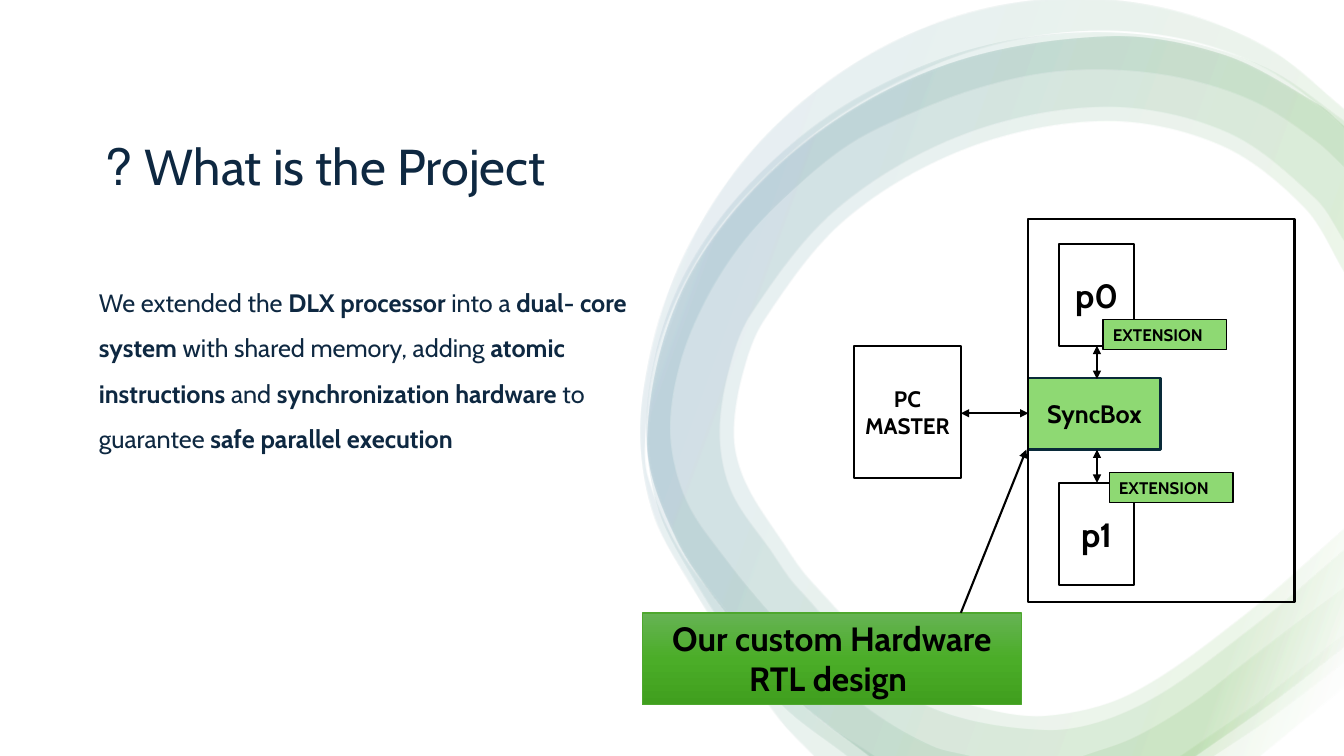
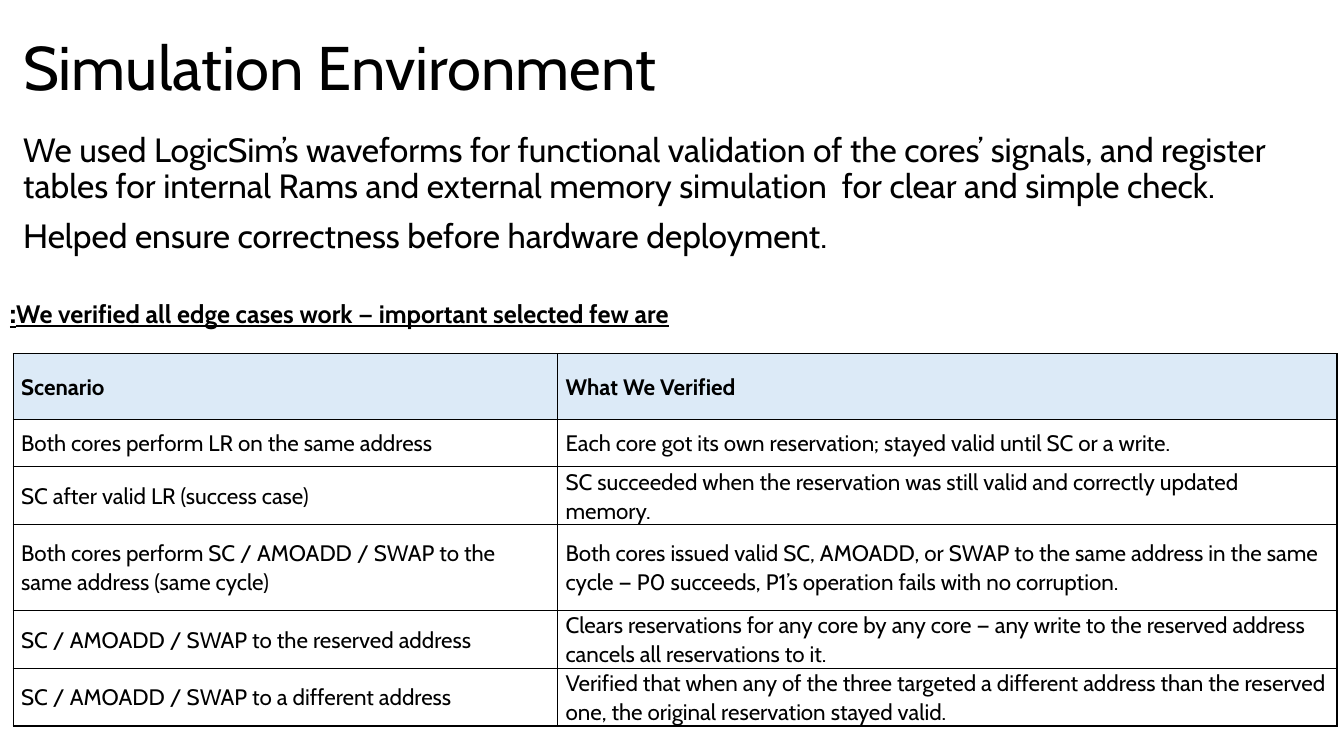
from math import dist

from lxml import etree
from pptx import Presentation
from pptx import util as u
from pptx.dml.color import RGBColor
from pptx.enum import shapes, text
from pptx.oxml.ns import qn

NAVY = RGBColor(0x0E, 0x28, 0x41)
BLACK = RGBColor(0, 0, 0)
WHITE = RGBColor(0xFF, 0xFF, 0xFF)
LIME = RGBColor(0x8E, 0xD9, 0x73)
PINE = RGBColor(0x09, 0x2A, 0x39)
LEAF = RGBColor(0x4E, 0xA7, 0x2E)
TEAL = RGBColor(0x15, 0x60, 0x82)
LEAF_TOP = RGBColor(0x66, 0xB3, 0x54)
LEAF_MIDDLE = RGBColor(0x4B, 0xAD, 0x28)
LEAF_BOTTOM = RGBColor(0x40, 0x9F, 0x1E)
HEADER_BLUE = RGBColor(0xDC, 0xEA, 0xF7)

FONT = "Cabin"
LEFT = text.PP_ALIGN.LEFT
CENTER = text.PP_ALIGN.CENTER
RIGHT = text.PP_ALIGN.RIGHT
TOP = text.MSO_ANCHOR.TOP
MIDDLE = text.MSO_ANCHOR.MIDDLE
RIBBON_STOPS = [(2, WHITE), (16, LEAF), (85, TEAL), (100, WHITE)]
BUTTON_STOPS = [(0, LEAF_TOP), (50, LEAF_MIDDLE), (100, LEAF_BOTTOM)]

HALO_STRIP = [[(13.33, 6.29)], [(13.33, 6.81)], [(12.49, 7.5)], [(11.7, 7.5)], [(12.46, 6.98)]]
HALO_RING = [
    [(13.33, 1.09), (12.65, 0.53), (11.92, 0.19), (11.12, 0.01), (10.3, 0), (9.5, 0.16),
     (8.74, 0.48), (8.06, 0.93), (7.48, 1.48), (7.01, 2.13), (6.66, 2.84), (6.44, 3.6),
     (6.36, 4.36), (6.5, 5.13), (6.87, 5.82), (7.29, 6.48), (7.74, 7.14), (8.08, 7.5)],
    [(8.68, 7.5), (8.13, 7.13), (7.69, 6.68), (7.21, 6.07), (6.74, 5.44), (6.44, 4.74),
     (6.41, 4.36), (6.5, 3.6), (6.76, 2.88), (7.16, 2.23), (7.68, 1.67), (8.27, 1.19),
     (8.92, 0.81), (9.61, 0.52), (10.34, 0.35), (11.1, 0.31), (11.85, 0.42), (12.56, 0.69),
     (13.18, 1.13), (13.33, 1.28)],
]
BAND_STRIP = [
    [(13.33, 5.82)],
    [(13.33, 6.56), (12.61, 7.11), (12.03, 7.5)],
    [(10.73, 7.5), (11.23, 7.32), (11.82, 6.97), (12.39, 6.53), (12.97, 6.09)],
]
BAND_RING = [
    [(13.33, 1.21), (12.63, 0.72), (11.9, 0.45), (11.13, 0.33), (10.36, 0.35), (9.6, 0.5),
     (8.89, 0.77), (8.22, 1.15), (7.63, 1.63), (7.12, 2.2), (6.73, 2.85), (6.49, 3.57),
     (6.41, 4.32), (6.54, 5.08), (6.89, 5.76), (7.29, 6.38), (7.75, 6.99), (8.4, 7.5)],
    [(9.62, 7.5), (9.24, 7.4), (8.65, 7.06), (8.14, 6.62), (7.66, 6.11), (7.2, 5.55),
     (6.81, 4.97), (6.65, 4.32), (6.74, 3.63), (7, 2.98), (7.38, 2.39), (7.87, 1.88),
     (8.43, 1.43), (9.05, 1.12), (9.72, 0.87), (10.41, 0.72), (11.11, 0.7), (11.81, 0.8),
     (12.47, 1.03), (13.05, 1.41), (13.33, 1.67)],
]
CORE_OUTER = [(13.33, 1.27), (13.07, 1.05), (12.12, 0.55), (10.96, 0.37), (9.3, 0.68),
              (7.85, 1.53), (6.81, 2.8), (6.42, 4.34), (6.71, 5.35), (7.32, 6.23),
              (7.91, 6.94), (8.62, 7.5)]
CORE_CORNER = [(11.85, 7.5), (12.66, 6.93), (13.33, 6.41)]
WIDE_INNER = [(13.33, 5.45), (12.44, 6.2), (11.29, 7), (10.36, 7.24), (9.01, 6.91),
              (7.91, 5.83), (7.65, 5.47), (7.26, 4.89), (7.14, 4.34), (7.22, 3.72),
              (7.45, 3.12), (8.31, 2.07), (9.56, 1.34), (10.96, 1.07), (12.16, 1.32),
              (13.04, 1.98), (13.33, 2.41)]
WIDER_INNER = [(13.33, 5.24), (12.35, 6.09), (11.21, 6.88), (10.36, 7.1), (9.65, 7),
               (9.04, 6.76), (8.03, 5.75), (7.77, 5.39), (7.4, 4.8), (7.28, 4.34),
               (7.36, 3.74), (7.58, 3.18), (8.4, 2.17), (9.61, 1.47), (10.96, 1.21),
               (12.1, 1.45), (12.93, 2.07), (13.33, 2.72)]
RIBBONS = [
    [HALO_STRIP, HALO_RING],
    [BAND_STRIP, BAND_RING],
    [[CORE_OUTER, CORE_CORNER, WIDE_INNER]],
    [[CORE_OUTER, CORE_CORNER, WIDER_INNER]],
]

SCENARIOS = [
    ("Scenario", "What We Verified"),
    ("Both cores perform LR on the same address",
     "Each core got its own reservation; stayed valid until SC or a write."),
    ("SC after valid LR (success case)",
     "SC succeeded when the reservation was still valid and correctly updated memory."),
    ("Both cores perform SC / AMOADD / SWAP to the same address (same cycle)",
     "Both cores issued valid SC, AMOADD, or SWAP to the same address in the same cycle — "
     "P0 succeeds, P1’s operation fails with no corruption."),
    ("SC / AMOADD / SWAP to the reserved address",
     "Clears reservations for any core by any core — any write to the reserved address "
     "cancels all reservations to it."),
    ("SC / AMOADD / SWAP to a different address",
     "Verified that when any of the three targeted a different address than the reserved one, "
     "the original reservation stayed valid."),
]


def handles(points):
    padded = [points[0], *points, points[-1]]
    slopes = [[(c[i] - a[i]) / (dist(a, b) + dist(b, c)) for i in (0, 1)]
              for a, b, c in zip(padded, padded[1:], padded[2:]) if a != c]
    pairs = []
    for number, (start, end) in enumerate(zip(points, points[1:])):
        reach = dist(start, end) / 3
        pairs.append([[start[i] + reach * slopes[number][i] for i in (0, 1)],
                      [end[i] - reach * slopes[number + 1][i] for i in (0, 1)]])
    return pairs


def inches(*values):
    return [u.Inches(value) for value in values]


class Deck:
    def __init__(self):
        self.deck = Presentation()
        self.deck.slide_width, self.deck.slide_height = inches(13.33, 7.5)
        self.page = None

    def add_page(self):
        self.page = self.deck.slides.add_slide(self.deck.slide_layouts[1])

    def style(self, para, size, color=BLACK, bold=False, align=LEFT, rtl=False, spacing=None,
              before=0, after=0):
        para.alignment = align
        para.space_before, para.space_after = u.Pt(before), u.Pt(after)
        if spacing:
            para.line_spacing = spacing
        if rtl:
            para._p.get_or_add_pPr().set("rtl", "1")
        for span in para.runs:
            span.font.name, span.font.size = FONT, u.Pt(size)
            span.font.color.rgb, span.font.bold = color, bold

    def place(self, box, at, anchor):
        box.left, box.top, box.width, box.height = inches(*at)
        frame = box.text_frame
        frame.word_wrap = True
        frame.auto_size = text.MSO_AUTO_SIZE.NONE
        frame.vertical_anchor = anchor
        return frame

    def title(self, words, at, size, **look):
        frame = self.place(self.page.shapes.title, at, MIDDLE)
        frame.margin_bottom = u.Inches(0.03 + size * 0.017)
        frame.text = words
        self.style(frame.paragraphs[0], size, spacing=0.9, **look)

    def body(self, paragraphs, at, size, color, spacing):
        frame = self.place(self.page.placeholders[1], at, TOP)
        frame.text = "\n".join("".join(parts) for parts in paragraphs)
        for para, parts in zip(frame.paragraphs, paragraphs):
            para.text = parts[0]
            for part in parts[1:]:
                para.add_run().text = part
            self.style(para, size, color, spacing=spacing, before=10)
            for span in para.runs[1::2]:
                span.font.bold = True
            props = para._p.get_or_add_pPr()
            props.set("marL", "0")
            props.set("indent", "0")
            etree.SubElement(props, qn("a:buNone"))

    def label(self, words, at, size):
        box = self.page.shapes.add_textbox(*inches(*at))
        frame = self.place(box, at, TOP)
        frame.text = words
        para = frame.paragraphs[0]
        self.style(para, size, bold=True, rtl=True)
        para.runs[0].font.underline = True

    def gradient(self, shape, stops, angle, opacity=100):
        shape.fill.gradient()
        shape.fill.gradient_angle = 360 - angle
        stop_list = shape._element.spPr.find(qn("a:gradFill")).find(qn("a:gsLst"))
        for old in list(stop_list):
            stop_list.remove(old)
        for position, color in stops:
            stop = etree.SubElement(stop_list, qn("a:gs"), pos=str(position * 1000))
            tone = etree.SubElement(stop, qn("a:srgbClr"), val=str(color))
            if opacity < 100:
                etree.SubElement(tone, qn("a:alpha"), val=str(opacity * 1000))

    def ribbon(self, contours):
        builder = None
        bends = []
        for edges in contours:
            points = [inches(*point) for edge in edges for point in edge]
            if builder is None:
                builder = self.page.shapes.build_freeform(*points[0], scale=1.0)
            else:
                builder.move_to(*points[0])
            builder.add_line_segments(points[1:], close=True)
            for number, edge in enumerate(edges):
                if number:
                    bends.append(None)
                if len(edge) > 1:
                    bends.extend(handles(edge))
        shape = builder.convert_to_shape()
        shape.shadow.inherit = False
        shape.line.fill.background()
        self.bend(shape, bends)
        self.gradient(shape, RIBBON_STOPS, 200, opacity=10)

    def bend(self, shape, bends):
        for segment, pair in zip(list(shape._element.iter(qn("a:lnTo"))), bends):
            if pair is None:
                continue
            curve = etree.Element(qn("a:cubicBezTo"))
            for x, y in pair:
                etree.SubElement(curve, qn("a:pt"), x=str(u.Inches(x) - shape.left),
                                 y=str(u.Inches(y) - shape.top))
            curve.append(segment[0])
            segment.getparent().replace(segment, curve)

    def block(self, at, words="", size=18, fill=None, line=BLACK, weight=1.5, align=CENTER,
              anchor=MIDDLE, rtl=True):
        shape = self.page.shapes.add_shape(shapes.MSO_SHAPE.RECTANGLE, *inches(*at))
        shape.shadow.inherit = False
        if line is None:
            shape.line.fill.background()
        else:
            shape.line.color.rgb, shape.line.width = line, u.Pt(weight)
        if fill is None:
            shape.fill.background()
        else:
            shape.fill.solid()
            shape.fill.fore_color.rgb = fill
        if words:
            frame = self.place(shape, at, anchor)
            frame.text = words
            self.style(frame.paragraphs[0], size, bold=True, align=align, rtl=rtl)
        return shape

    def arrow(self, start, end, ends=("headEnd", "tailEnd")):
        line = self.page.shapes.add_connector(
            shapes.MSO_CONNECTOR.STRAIGHT, *inches(*start, *end))
        line.line.color.rgb, line.line.width = BLACK, u.Pt(1.5)
        props = line._element.spPr
        for end_name in ends:
            etree.SubElement(props.find(qn("a:ln")), qn("a:" + end_name), type="triangle")
        etree.SubElement(props, qn("a:effectLst"))

    def table(self, rows, at, widths, heights, size):
        grid = self.page.shapes.add_table(len(rows), len(widths), *inches(*at)).table
        grid.first_row = grid.horz_banding = False
        for column, width in zip(grid.columns, widths):
            column.width = u.Inches(width)
        for number, (row, height, words) in enumerate(zip(grid.rows, heights, rows)):
            row.height = u.Inches(height)
            for cell, phrase in zip(row.cells, words):
                self.cell(cell, phrase, size, header=number == 0)

    def cell(self, cell, phrase, size, header):
        cell.text = phrase
        self.style(cell.text_frame.paragraphs[0], size, bold=header, spacing=1.07, after=8)
        cell.vertical_anchor = MIDDLE
        cell.margin_left = cell.margin_right = u.Inches(0.08)
        cell.margin_top = cell.margin_bottom = 0
        props = cell._tc.get_or_add_tcPr()
        for side in ("lnL", "lnR", "lnT", "lnB"):
            border = etree.SubElement(props, qn("a:" + side), w=str(u.Pt(1)))
            paint = etree.SubElement(border, qn("a:solidFill"))
            etree.SubElement(paint, qn("a:srgbClr"), val=str(BLACK))
        if header:
            cell.fill.solid()
            cell.fill.fore_color.rgb = HEADER_BLUE
        else:
            cell.fill.background()


def project_page(deck):
    deck.add_page()
    deck.block((0, 0, 13.33, 7.5), fill=WHITE, line=None)
    for contours in RIBBONS:
        deck.ribbon(contours)
    deck.title("What is the Project ?", (0.3, 1.18, 5.21, 1.59), 36, color=NAVY, align=RIGHT,
               rtl=True)
    deck.body([["We extended the ", "DLX processor ", "into a ", "dual- core system",
                " with shared memory, adding ", "atomic instructions ", "and ",
                "synchronization hardware", " to guarantee ", "safe parallel execution"]],
              (0.88, 2.65, 5.48, 3.67), 18, NAVY, 1.5)
    page_shapes = deck.page.shapes
    for holder in (page_shapes.title, deck.page.placeholders[1]):
        page_shapes._spTree.append(holder._element)
    for name, top in (("p0", 2.42), ("p1", 4.79)):
        deck.block((10.5, top, 0.75, 1.01), name, 24)
    deck.block((10.2, 3.75, 1.31, 0.71), "SyncBox", 18, fill=LIME, line=PINE)
    for bottom in (4.79, 3.76):
        deck.arrow((10.88, bottom), (10.88, bottom - 0.33))
    for left, top in ((10.94, 3.17), (11, 4.69)):
        deck.block((left, top, 1.23, 0.3), "EXTENSION", 12, fill=LIME, weight=0.75,
                   align=LEFT, anchor=TOP)
    deck.block((8.47, 3.43, 1.06, 1.31), "PC MASTER", 16, fill=WHITE)
    deck.arrow((9.53, 4.1), (10.2, 4.1))
    button = deck.block((6.37, 6.08, 3.76, 0.91), "Our custom Hardware RTL design ", 24,
                        line=LEAF, weight=1, anchor=TOP, rtl=False)
    deck.gradient(button, BUTTON_STOPS, 90)
    deck.arrow((9.53, 6.08), (10.18, 4.46), ends=("tailEnd",))
    deck.block((10.2, 2.17, 2.64, 3.8))


def simulation_page(deck):
    deck.add_page()
    deck.title("Simulation Environment", (0.13, 0.34, 11.5, 1.45), 44)
    deck.body([["We used LogicSim’s waveforms for functional validation of the cores’ signals, "
                "and register tables for internal Rams and external memory simulation  for clear "
                "and simple check."],
               ["Helped ensure correctness before hardware deployment."]],
              (0.13, 1.27, 13.24, 1.45), 24, BLACK, 0.9)
    deck.label("We verified all edge cases work — important selected few are:",
               (0, 2.91, 8.15, 0.4), 18)
    deck.table(SCENARIOS, (0.13, 3.51, 13.13, 3.38), (5.4, 7.73),
               (0.65, 0.47, 0.47, 0.85, 0.47, 0.47), 16)


def main():
    deck = Deck()
    project_page(deck)
    simulation_page(deck)
    deck.deck.save("out.pptx")


if __name__ == "__main__":
    main()
